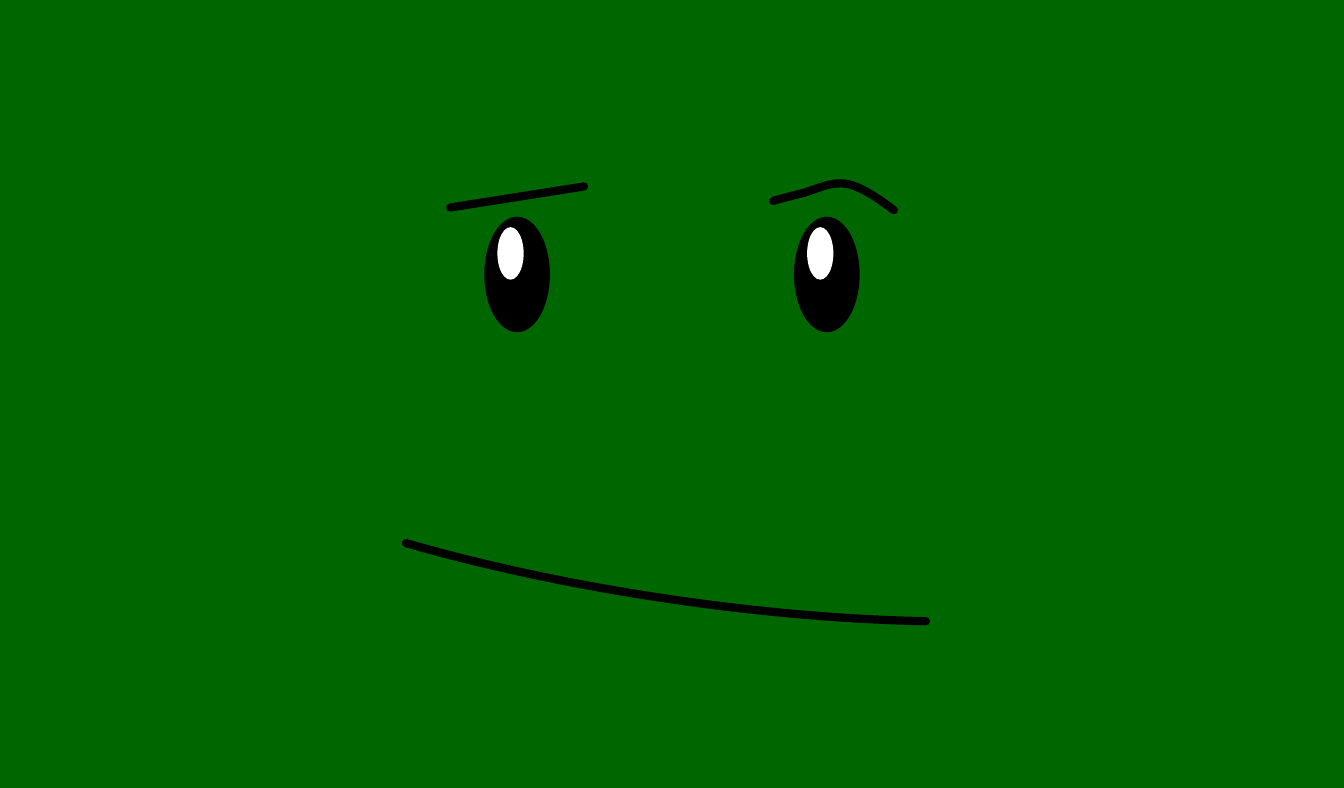
from lxml import etree
from pptx import Presentation
from pptx.dml.color import RGBColor
from pptx.enum.shapes import MSO_CONNECTOR, MSO_SHAPE
from pptx.oxml.ns import qn
from pptx.util import Inches, Pt

OVAL = MSO_SHAPE.OVAL
ARC = MSO_SHAPE.ARC
STRAIGHT = MSO_CONNECTOR.STRAIGHT

GREEN, BLACK, WHITE = "006600", "000000", "FFFFFF"
EYE_LEFTS = (6.05, 3.69)
BROW_START = (6.81, 1.6)
BROW_CURVES = (
    ((6.69, 1.51), (6.56, 1.42), (6.45, 1.4)),
    ((6.33, 1.38), (6.22, 1.44), (6.12, 1.47)),
    ((6.03, 1.49), (5.89, 1.53), (5.89, 1.53)),
)


def paint(fill, color):
    """Give a fill one solid colour."""
    fill.solid()
    fill.fore_color.rgb = RGBColor.from_string(color)


def draw_stroke(line):
    """Format a line as a thick black stroke with round ends."""
    paint(line.fill, BLACK)
    line.width = Pt(4.5)
    line._get_or_add_ln().set("cap", "rnd")


def add_oval(shapes, left, top, width, height, color):
    """Add a filled ellipse without an outline."""
    oval = shapes.add_shape(OVAL, Inches(left), Inches(top), Inches(width), Inches(height))
    oval.shadow.inherit = False
    paint(oval.fill, color)
    oval.line.fill.background()


def add_eye(shapes, left):
    """Add a black eye with a white highlight."""
    add_oval(shapes, left, 1.65, 0.5, 0.88, BLACK)
    add_oval(shapes, left + 0.1, 1.73, 0.2, 0.4, WHITE)


def add_curve(shapes, start, curves):
    """Add an open outline made of cubic curves."""
    points = [(Inches(x), Inches(y)) for curve in curves for x, y in curve]
    builder = shapes.build_freeform(Inches(start[0]), Inches(start[1]))
    builder.add_line_segments(points, close=False)
    outline = builder.convert_to_shape()
    outline.shadow.inherit = False
    outline.fill.background()
    draw_stroke(outline.line)
    route = next(outline._element.iter(qn("a:path")))
    segments = route.findall(qn("a:lnTo"))
    for index in range(0, len(segments), 3):
        cubic = etree.SubElement(route, qn("a:cubicBezTo"))
        for segment in segments[index:index + 3]:
            cubic.append(segment[0])
            route.remove(segment)


def add_straight_brow(shapes, start, end):
    """Add a straight eyebrow between two points."""
    ends = [Inches(value) for value in (*start, *end)]
    brow = shapes.add_connector(STRAIGHT, *ends)
    draw_stroke(brow.line)
    etree.SubElement(brow._element.spPr, qn("a:effectLst"))


def add_mouth(shapes):
    """Add a tilted smile from an upside-down arc."""
    mouth = shapes.add_shape(ARC, Inches(1.23), Inches(2.74), Inches(7.99), Inches(1.83))
    mouth.adjustments[0] = 120.66
    mouth.adjustments[1] = 202.78
    mouth.rotation = 8.4
    mouth._element.spPr.xfrm.set("flipV", "1")
    mouth.shadow.inherit = False
    mouth.fill.background()
    draw_stroke(mouth.line)


def main():
    """Build the face slide and save the deck."""
    deck = Presentation()
    deck.slide_width, deck.slide_height = Inches(10.24), Inches(6)
    page = deck.slides.add_slide(deck.slide_layouts[6])
    paint(page.background.fill, GREEN)
    eyes = page.shapes.add_group_shape()
    for left in EYE_LEFTS:
        add_eye(eyes.shapes, left)
    brows = page.shapes.add_group_shape()
    add_curve(brows.shapes, BROW_START, BROW_CURVES)
    add_straight_brow(brows.shapes, (3.43, 1.58), (4.45, 1.42))
    add_mouth(page.shapes)
    deck.save("out.pptx")


if __name__ == "__main__":
    main()
